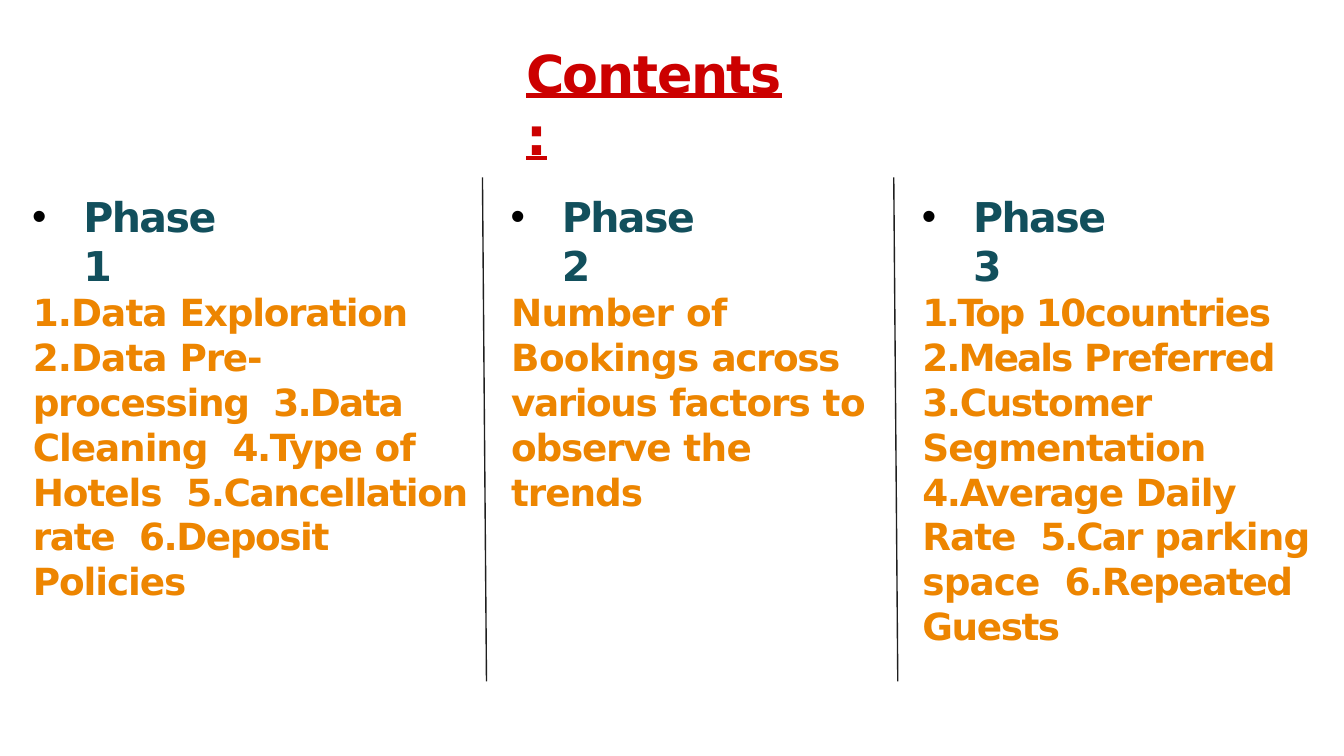
from dataclasses import dataclass

from lxml.etree import SubElement
from pptx import Presentation
from pptx.dml.color import RGBColor
from pptx.enum.shapes import MSO_CONNECTOR
from pptx.enum.text import MSO_ANCHOR, MSO_AUTO_SIZE, MSO_UNDERLINE, PP_ALIGN
from pptx.oxml.ns import qn
from pptx.util import Inches, Pt

FONT, BULLET_FONT = "DejaVu Sans", "Arial"
RED, TEAL, ORANGE, BLACK, GREY = "CC0000", "124F5C", "ED8500", "000000", "1F1F1F"

Runs = list[tuple[str, float]]  # text and letter spacing in points


@dataclass
class Phase:
    number: int
    left: float
    width: float
    height: float
    runs: Runs


PHASES = [
    Phase(1, 0.23, 3.29, 2.03, [
        ("1.Data ", -0.5), ("Exploration  ", -0.7), ("2.Data ", -0.5),
        ("Pre-processing  ", -0.7), ("3.Data ", -1), ("Cleaning  ", -0.6),
        ("4.Type ", -0.8), ("of ", -0.3), ("Hotels  ", -0.6),
        ("5.Cancellation ", -0.8), ("rate  ", -0.7), ("6.Deposit ", -0.8),
        ("Policies", -0.6)]),
    Phase(2, 3.79, 2.78, 1.36, [
        ("Number ", -0.5), ("of  ", -0.3), ("Bookings ", -0.4),
        ("across  various ", -0.8), ("factors ", -0.6), ("to  ", -0.2),
        ("observe ", -0.7), ("the ", -0.3), ("trends", -0.6)]),
    Phase(3, 6.85, 3.08, 2.36, [
        ("1.Top ", -1.4), ("10countries  ", -0.8), ("2.Meals ", -1.1),
        ("Preferred  ", -0.7), ("3.Customer  ", -0.8), ("Segmentation  ", -0.6),
        ("4.Average ", -0.8), ("Daily ", -0.7), ("Rate  ", -0.6),
        ("5.Car ", -1.1), ("parking space  ", -0.5), ("6.Repeated Guests", -0.8)]),
]


def rgb(color: str) -> RGBColor:
    return RGBColor.from_string(color)


def write(sp, runs: Runs, size: float, color: str, before: float = 0.9,
          underline: bool = False):
    """Fill a text shape with one paragraph and return that paragraph."""
    tf = sp.text_frame
    tf.word_wrap = True
    tf.auto_size = MSO_AUTO_SIZE.SHAPE_TO_FIT_TEXT
    tf.vertical_anchor = MSO_ANCHOR.TOP
    tf.margin_left = tf.margin_right = tf.margin_bottom = 0
    tf.margin_top = Pt(1)
    p = tf.paragraphs[0]
    p.alignment = PP_ALIGN.LEFT
    p.space_before = Pt(before)
    p._p.get_or_add_pPr().set("marL", str(Pt(1)))
    for text, spacing in runs:
        r = p.add_run()
        r.text = text
        r.font.name, r.font.size, r.font.bold = FONT, Pt(size), True
        r.font.color.rgb = rgb(color)
        if underline:
            r.font.underline = MSO_UNDERLINE.HEAVY_LINE
        r._r.get_or_add_rPr().set("spc", str(round(spacing * 100)))
    return p


def add_bullet(p) -> None:
    pPr = p._p.get_or_add_pPr()
    pPr.set("marL", str(Inches(0.39)))
    pPr.set("indent", str(Inches(-0.38)))
    SubElement(SubElement(pPr, qn("a:buClr")), qn("a:srgbClr")).set("val", BLACK)
    SubElement(pPr, qn("a:buFont")).set("typeface", BULLET_FONT)
    SubElement(pPr, qn("a:buChar")).set("char", "•")


def add_phase(slide, phase: Phase) -> None:
    left = Inches(phase.left)
    heading = slide.shapes.add_textbox(left, Inches(1.41), Inches(1.67), Inches(0.39))
    add_bullet(write(heading, [("Phase ", -0.8), (str(phase.number), -0.1)], 22, TEAL))
    body = slide.shapes.add_textbox(left, Inches(2.14), Inches(phase.width),
                                    Inches(phase.height))
    write(body, phase.runs, 20, ORANGE, before=1)


def add_divider(slide, x: float) -> None:
    line = slide.shapes.add_connector(MSO_CONNECTOR.STRAIGHT, Inches(x), Inches(1.32),
                                      Inches(x + 0.03), Inches(5.07))
    line.line.color.rgb = rgb(GREY)
    line.line.width = Pt(0.75)
    SubElement(line._element.spPr, qn("a:effectLst"))


def main() -> None:
    prs = Presentation()
    prs.slide_width = Inches(10)
    prs.slide_height = prs.slide_width * 9 // 16
    slide = prs.slides.add_slide(prs.slide_layouts[5])

    # Title
    title = slide.shapes.title
    title.left, title.top = Inches(3.9), Inches(0.29)
    title.width, title.height = Inches(2.15), Inches(0.49)
    write(title, [("Contents", -0.7), (" ", -3.6), (":", -0.1)], 28, RED, underline=True)

    # Three columns and the slanted lines between them
    for phase in PHASES:
        add_phase(slide, phase)
    for x in (3.59, 6.65):
        add_divider(slide, x)

    prs.save("out.pptx")


if __name__ == "__main__":
    main()
